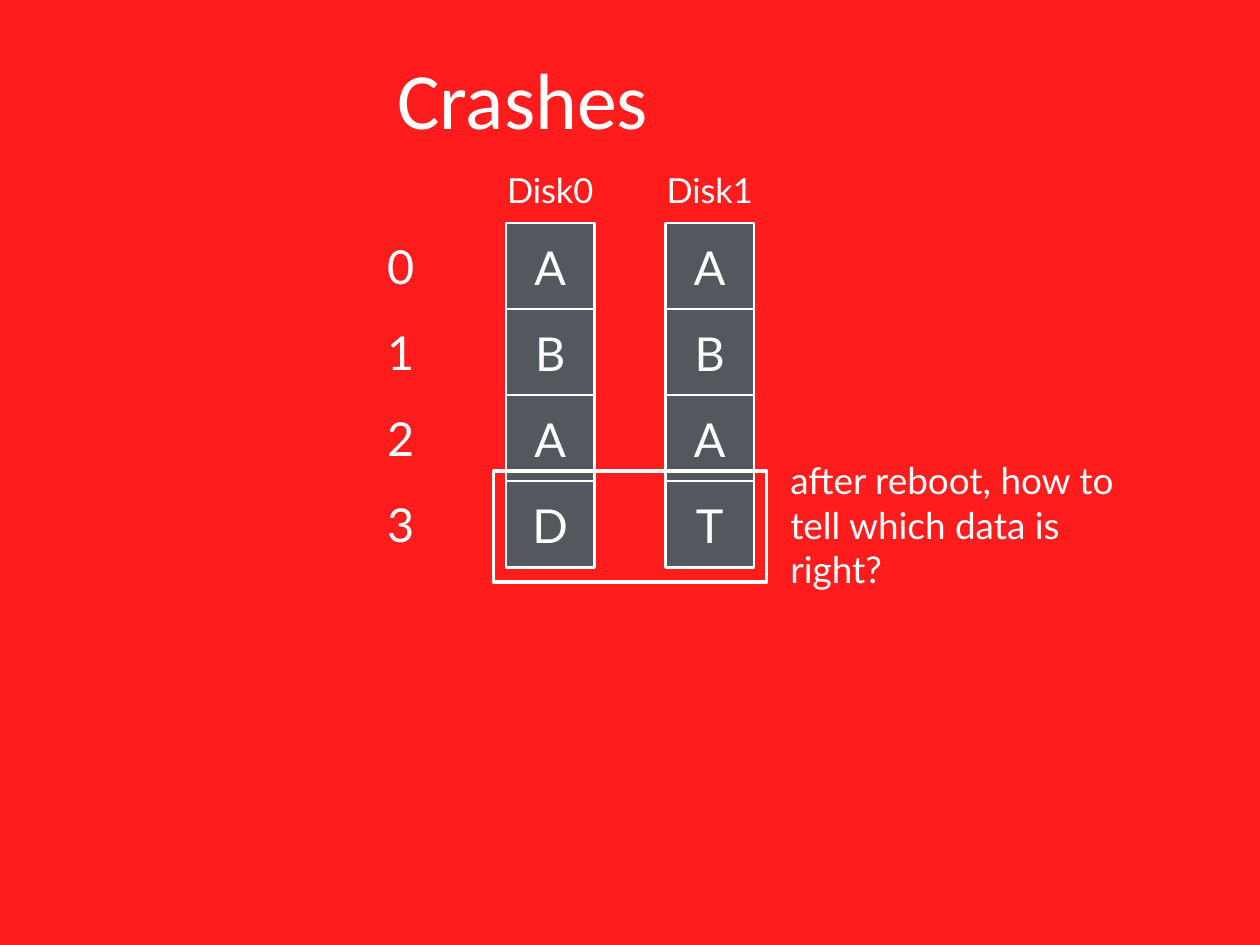
from pptx import Presentation
from pptx.dml.color import RGBColor
from pptx.enum.shapes import MSO_SHAPE
from pptx.enum.text import MSO_ANCHOR, PP_ALIGN
from pptx.util import Inches, Pt

WHITE = "FFFFFF"
DISK_TOP = 2.52
ROW_STEP = 0.97
BLOCK_HEIGHT = 0.98
disks = [("Disk0", 5.71, "ABAD"), ("Disk1", 7.51, "ABAT")]


def write(shape, text, size, font="Lato", align=PP_ALIGN.CENTER, inset=0.06, wrap=False):
    frame = shape.text_frame
    frame.text = text
    frame.word_wrap = wrap
    frame.vertical_anchor = MSO_ANCHOR.MIDDLE
    frame.margin_left = frame.margin_right = Inches(inset)
    frame.margin_top = frame.margin_bottom = Inches(inset)
    for para in frame.paragraphs:
        para.alignment = align
        for span in para.runs:
            span.font.size = Pt(size)
            span.font.name = font
            span.font.color.rgb = RGBColor.from_string(WHITE)


def add_box(left, top, width, height, line_width, fill=None):
    box = page.shapes.add_shape(
        MSO_SHAPE.RECTANGLE, Inches(left), Inches(top), Inches(width), Inches(height)
    )
    box.shadow.inherit = False
    if fill:
        box.fill.solid()
        box.fill.fore_color.rgb = RGBColor.from_string(fill)
    else:
        box.fill.background()
    box.line.color.rgb = RGBColor.from_string(WHITE)
    box.line.width = Pt(line_width)
    return box


deck = Presentation()
deck.slide_width = Inches(14.22)
deck.slide_height = Inches(10.67)
page = deck.slides.add_slide(deck.slide_layouts[5])
page.background.fill.solid()
page.background.fill.fore_color.rgb = RGBColor.from_string("FF1C1C")

title = page.shapes.title
title.left, title.top = Inches(0), Inches(0.1)
title.width, title.height = Inches(11.8), Inches(2)
write(title, "Crashes", 64.8, font="Calibri", wrap=True)

for name, left, blocks in disks:
    label = page.shapes.add_textbox(Inches(left - 0.05), Inches(1.85), Inches(1.1), Inches(0.58))
    write(label, name, 28)
    for row, letter in enumerate(blocks):
        block = add_box(left, DISK_TOP + row * ROW_STEP, 1, BLOCK_HEIGHT, 2, "53585F")
        write(block, letter, 38, inset=0)

for row in range(4):
    top = DISK_TOP + 0.11 + row * ROW_STEP
    number = page.shapes.add_textbox(Inches(4.31), Inches(top), Inches(0.42), Inches(0.75))
    write(number, str(row), 38)

add_box(5.57, 5.32, 3.08, 1.25, 3)

question = page.shapes.add_textbox(Inches(8.86), Inches(5.36), Inches(4.21), Inches(1.12))
write(question, "after reboot, how to\ntell which data is right?", 30, align=PP_ALIGN.LEFT, wrap=True)

deck.save("out.pptx")
